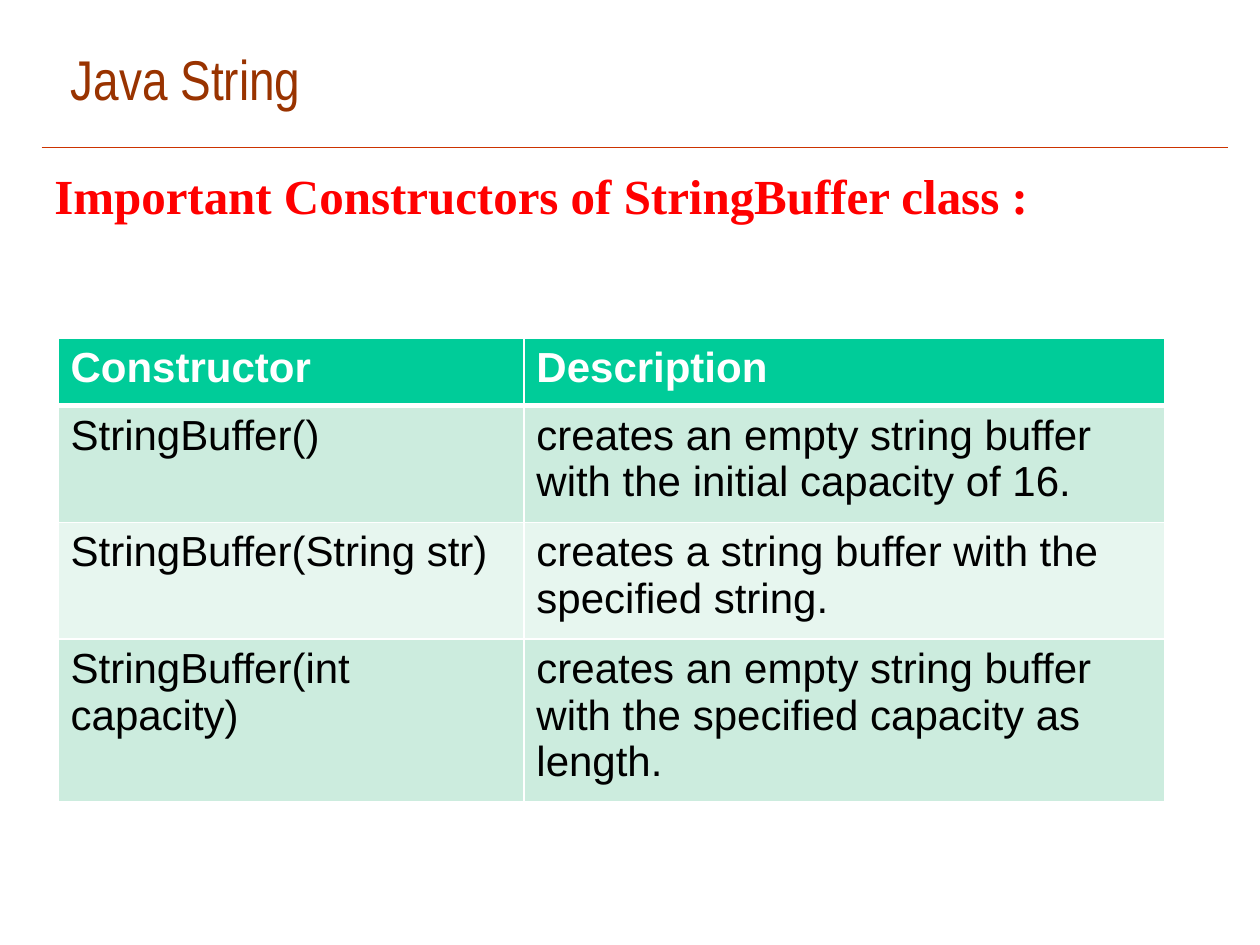
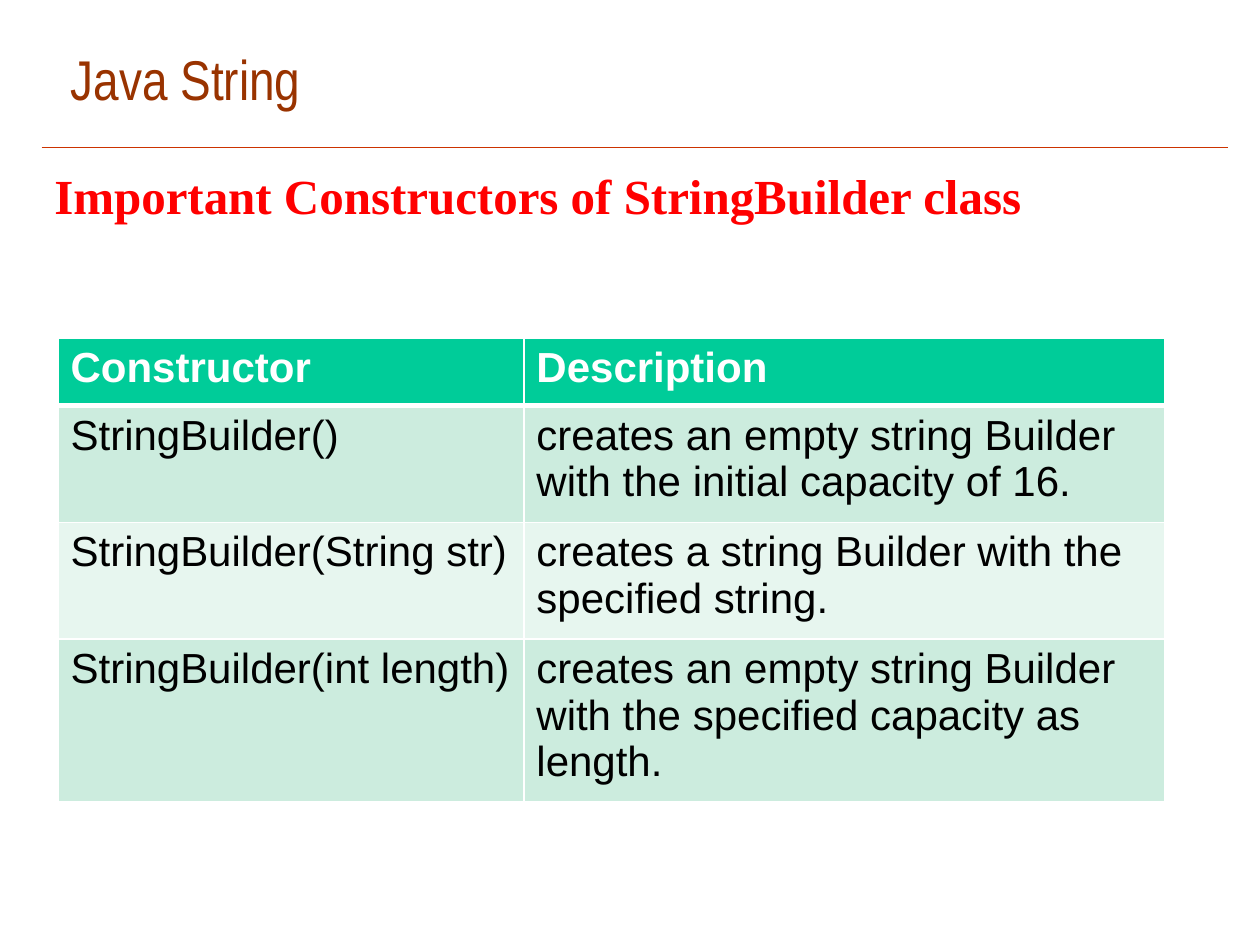
from dataclasses import dataclass

from lxml import etree
from pptx import Presentation
from pptx import util as u
from pptx.dml.color import RGBColor
from pptx.enum import shapes, text
from pptx.oxml import parse_xml
from pptx.oxml.ns import nsdecls, qn

# Content
TITLE = "Java String"
HEADER = ("Constructor", "Description")
SLIDES = [
    ("Important Constructors of StringBuffer class :", [
        ("StringBuffer()",
         "creates an empty string buffer with the initial capacity of 16."),
        ("StringBuffer(String str)",
         "creates a string buffer with the specified string."),
        ("StringBuffer(int capacity)",
         "creates an empty string buffer with the specified capacity as length."),
    ]),
    ("Important Constructors of StringBuilder class", [
        ("StringBuilder()",
         "creates an empty string Builder with the initial capacity of 16."),
        ("StringBuilder(String str)",
         "creates a string Builder with the specified string."),
        ("StringBuilder(int length)",
         "creates an empty string Builder with the specified capacity as length."),
    ]),
]


# Theme: (font, size, colour, bold) for text, hex for fills and lines
@dataclass(frozen=True)
class Theme:
    title: tuple = ("Arial Narrow", 32, "993300", False)
    heading: tuple = ("Times New Roman", 28, "FF0000", True)
    table_head: tuple = ("Arial", 24, "FFFFFF", True)
    table_body: tuple = ("Arial", 24, "000000", False)
    rule: str = "CC3300"
    shadow: str = "808080"
    border: str = "FFFFFF"
    head_fill: str = "00CC99"
    bands: tuple = ("CCECDE", "E7F6EF")


THEME = Theme()

# Layout in cm: left, top, width, height
TITLE_BOX = (1.17, 0.76, 15.24, 1.63)
HEADING_BOX = (0.84, 3.2, 23.75, 1.45)
RULE_X, RULE_Y = (0.84, 24.76), 2.97
TABLE_LEFT, TABLE_TOP = 1.17, 6.81
COL_WIDTHS = (9.39, 12.91)
ROW_HEIGHTS = (1.37, 2.35, 2.35, 3.28)


def add_text(tf, words, style):
    font, size, colour, bold = style
    p = tf.paragraphs[0]
    r = p.add_run()
    r.text = words
    r.font.name, r.font.size, r.font.bold = font, u.Pt(size), bold
    r.font.color.rgb = RGBColor.from_string(colour)
    return p, r


def fill_placeholder(sp, box, words, style):
    sp.left, sp.top, sp.width, sp.height = map(u.Cm, box)
    tf = sp.text_frame
    tf.word_wrap = True
    tf.auto_size = text.MSO_AUTO_SIZE.NONE
    tf.vertical_anchor = text.MSO_ANCHOR.TOP
    p, r = add_text(tf, words, style)
    p.alignment = text.PP_ALIGN.LEFT
    p.space_before = u.Pt(0)
    return p, r


def add_text_shadow(r):
    fill = r.font._element.find(qn("a:solidFill"))
    fill.addnext(parse_xml(
        f'<a:effectLst {nsdecls("a")}><a:outerShdw dist="35921" dir="2700000">'
        f'<a:srgbClr val="{THEME.shadow}"/></a:outerShdw></a:effectLst>'))


def add_rule(s):
    x1, x2 = RULE_X
    line = s.shapes.add_connector(shapes.MSO_CONNECTOR.STRAIGHT, u.Cm(x1),
                                  u.Cm(RULE_Y), u.Cm(x2), u.Cm(RULE_Y))
    line.line.color.rgb = RGBColor.from_string(THEME.rule)
    line.line.width = u.Pt(0.75)
    etree.SubElement(line._element.spPr, qn("a:effectLst"))


def set_borders(cell, row):
    # The edge between the header and the first row is heavier
    widths = {"L": 1, "R": 1, "T": 3 if row == 1 else 1, "B": 3 if row == 0 else 1}
    tcPr = cell._tc.get_or_add_tcPr()
    for i, (side, pt) in enumerate(widths.items()):
        tcPr.insert(i, parse_xml(
            f'<a:ln{side} {nsdecls("a")} w="{u.Pt(pt)}"><a:solidFill>'
            f'<a:srgbClr val="{THEME.border}"/></a:solidFill></a:ln{side}>'))


def add_constructor_table(s, rows):
    rows = [HEADER, *rows]
    table = s.shapes.add_table(
        len(rows), len(HEADER), u.Cm(TABLE_LEFT), u.Cm(TABLE_TOP),
        u.Cm(sum(COL_WIDTHS)), u.Cm(sum(ROW_HEIGHTS))).table
    for col, width in zip(table.columns, COL_WIDTHS):
        col.width = u.Cm(width)
    for i, (row, height) in enumerate(zip(rows, ROW_HEIGHTS)):
        table.rows[i].height = u.Cm(height)
        style = THEME.table_body if i else THEME.table_head
        colour = THEME.bands[(i - 1) % 2] if i else THEME.head_fill
        for j, words in enumerate(row):
            cell = table.cell(i, j)
            cell.fill.solid()
            cell.fill.fore_color.rgb = RGBColor.from_string(colour)
            set_borders(cell, i)
            add_text(cell.text_frame, words, style)


def add_slide(prs, heading, rows):
    s = prs.slides.add_slide(prs.slide_layouts[1])
    _, r = fill_placeholder(s.shapes.title, TITLE_BOX, TITLE, THEME.title)
    add_text_shadow(r)
    add_rule(s)
    p, _ = fill_placeholder(s.placeholders[1], HEADING_BOX, heading, THEME.heading)
    # Heading without bullet or indent
    pPr = p._p.get_or_add_pPr()
    pPr.set("marL", "0")
    pPr.set("indent", "0")
    etree.SubElement(pPr, qn("a:buNone"))
    add_constructor_table(s, rows)


def main():
    prs = Presentation()
    prs.slide_width, prs.slide_height = u.Cm(25.4), u.Cm(19.05)
    for heading, rows in SLIDES:
        add_slide(prs, heading, rows)
    prs.save("out.pptx")


if __name__ == "__main__":
    main()
